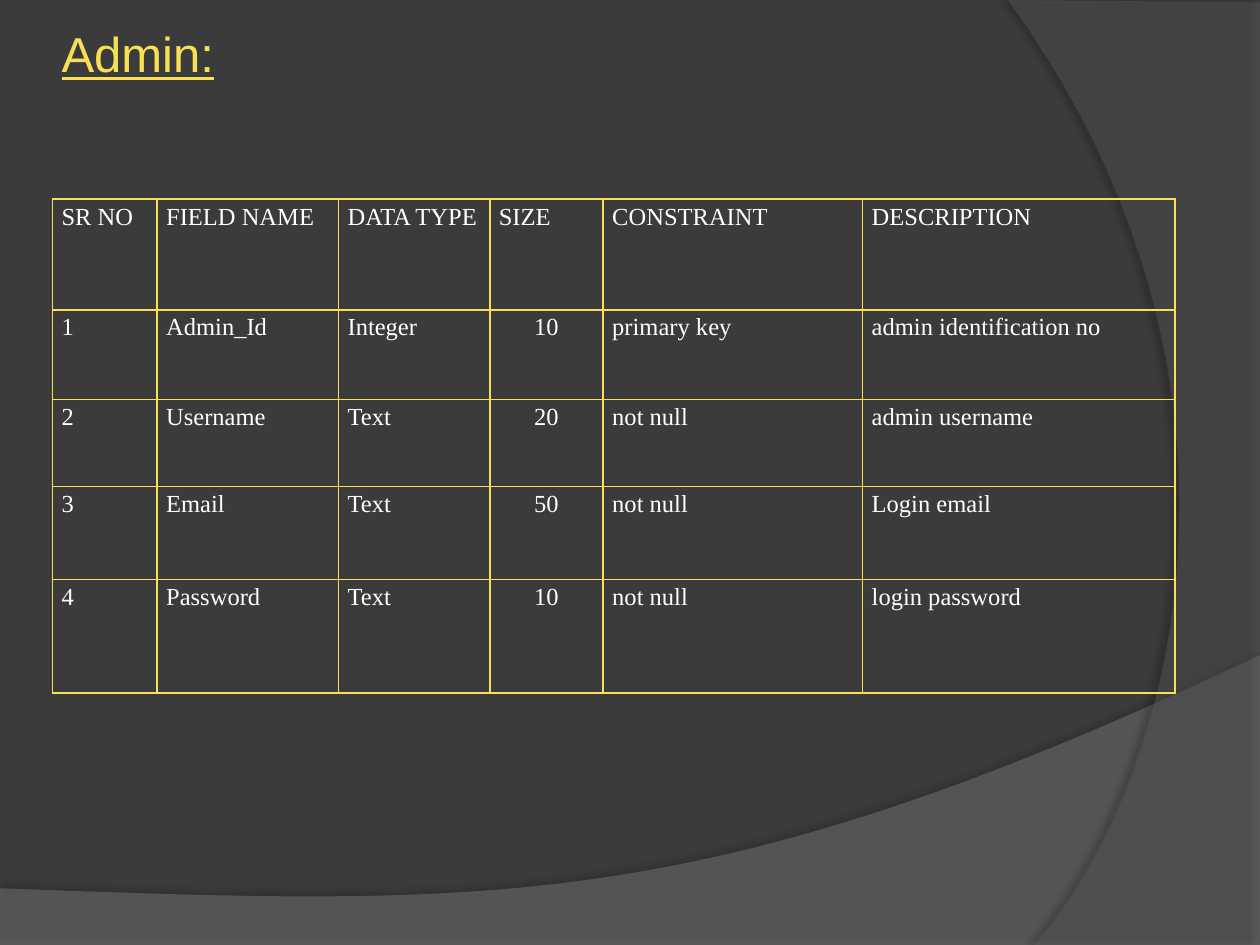
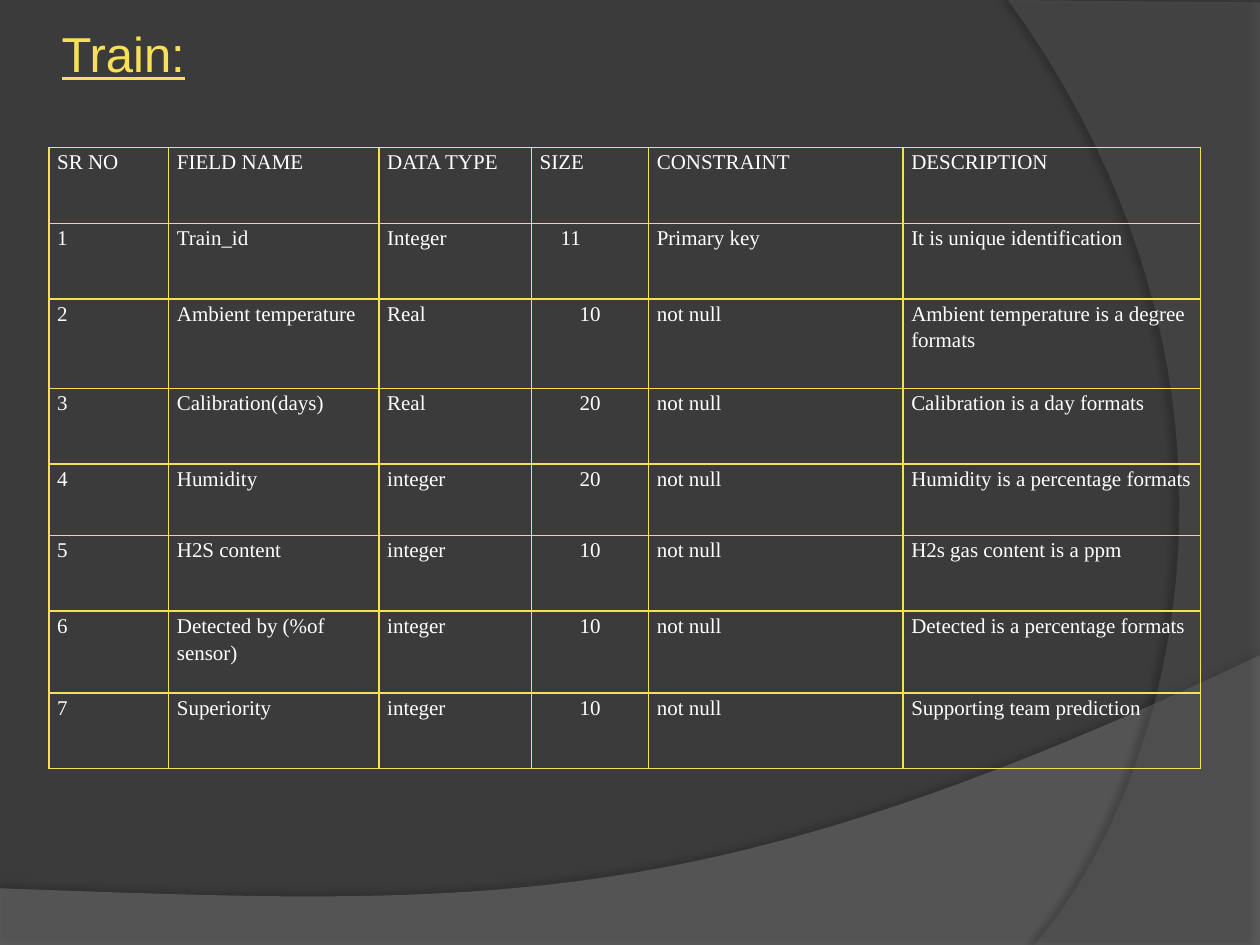
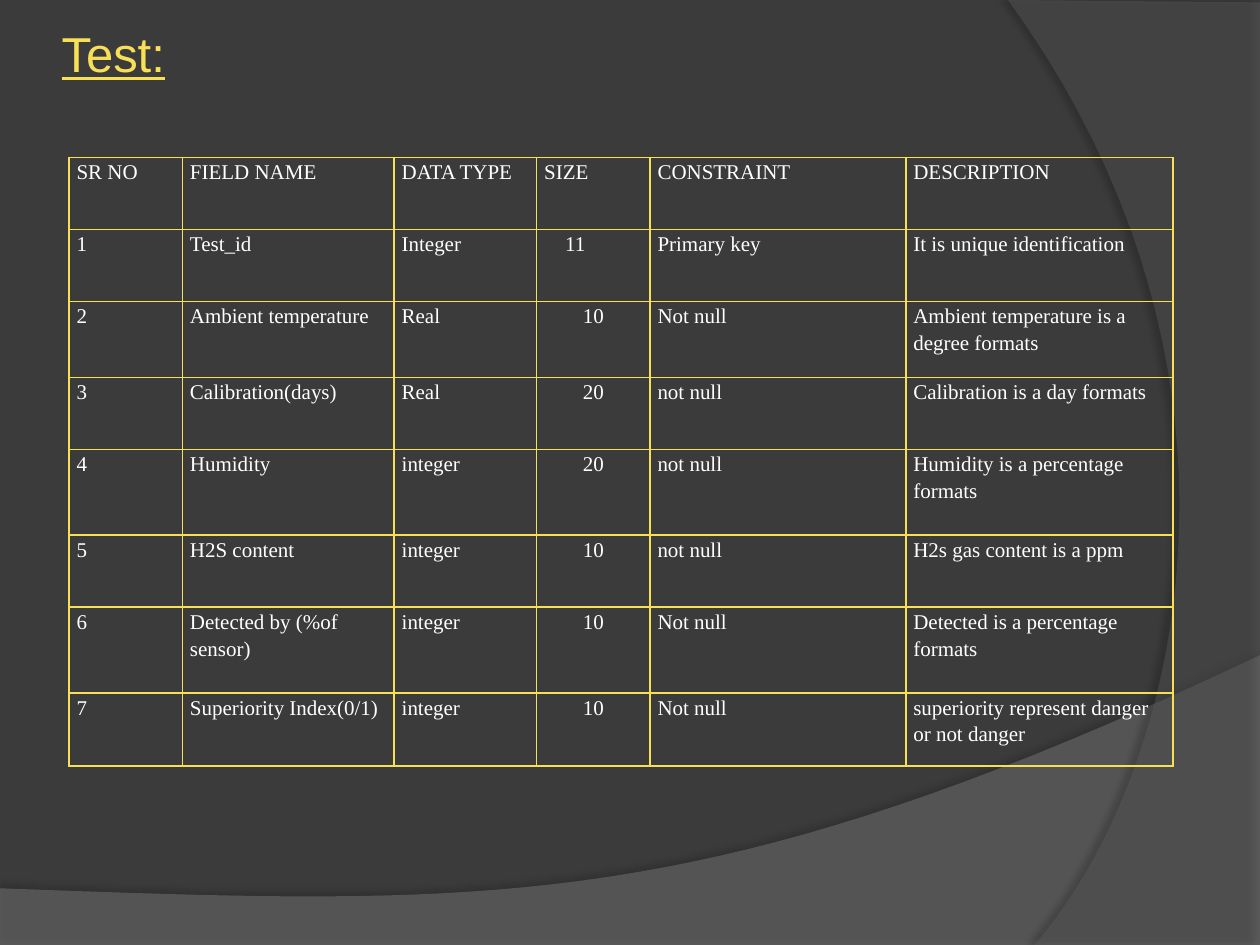
from pptx import Presentation
from pptx.dml.color import RGBColor
from pptx.enum.text import MSO_AUTO_SIZE, PP_ALIGN
from pptx.oxml import parse_xml
from pptx.oxml.ns import nsdecls, qn
from pptx.util import Pt

COLORS = {
    "background": "3B3B3B",
    "lower band": "7F7F7F",
    "right band": "5E5E5E",
    "shadow": "000000",
    "accent": "F7DF56",
    "text": "FFFFFF",
}
HEADINGS = ("SR NO", "FIELD NAME", "DATA TYPE", "SIZE", "CONSTRAINT", "DESCRIPTION")
SIZE_COLUMN = HEADINGS.index("SIZE")
KEY_SIZE = "11"
KEY_INDENT = 12
CURVE_STEPS = 40

BANDS = [
    {
        "color": "lower band", "alpha": 45, "shadow alpha": 35, "distance": 3.5, "direction": 270,
        "corners": [(0, 507.6), (0, 540.7), (720, 540.7)],
        "curve": [(720, 374.4), (402.5, 524.9), (281.5, 517.7), (0, 507.6)],
    },
    {
        "color": "right band", "alpha": 40, "shadow alpha": 45, "distance": 4, "direction": 180,
        "corners": [(720, 1.4), (720, 540)],
        "curve": [(591.1, 540), (673.2, 445.7), (733, 216), (576, 0)],
    },
]

TABLES = [
    {
        "title": "Admin:", "left": 30, "top": 113.8, "font size": 14, "margin": 5.2,
        "widths": (59.8, 103.7, 86.4, 64.8, 148.3, 178.6),
        "heights": (63.4, 51.1, 49.7, 53.3, 64.8),
        "fields": [
            ("Admin_Id", "Integer", "10", "primary key", "admin identification no"),
            ("Username", "Text", "20", "not null", "admin username"),
            ("Email", "Text", "50", "not null", "Login email"),
            ("Password", "Text", "10", "not null", "login password"),
        ],
    },
    {
        "title": "Train:", "left": 28, "top": 84.4, "font size": 12, "margin": 4.7,
        "widths": (68.4, 120.2, 87.1, 67, 145.4, 170),
        "heights": (43.2, 43.2, 51.1, 43.2, 41, 43.2, 46.8, 43.2),
        "fields": [
            ("Train_id", "Integer", "11", "Primary key", "It is unique identification"),
            ("Ambient temperature", "Real", "10", "not null",
             "Ambient temperature is a degree formats"),
            ("Calibration(days)", "Real", "20", "not null", "Calibration is a day formats"),
            ("Humidity", "integer", "20", "not null", "Humidity is a percentage formats"),
            ("H2S content", "integer", "10", "not null", "H2s gas content is a ppm"),
            ("Detected by (%of sensor)", "integer", "10", "not null",
             "Detected is a percentage formats"),
            ("Superiority", "integer", "10", "not null", "Supporting team prediction"),
        ],
    },
    {
        "title": "Test:", "left": 39.5, "top": 90, "font size": 12, "margin": 4.3,
        "widths": (64.8, 121, 81.4, 64.8, 146.2, 152.6),
        "heights": (41.2, 41.2, 43.2, 41.2, 49, 41.2, 49, 41.8),
        "fields": [
            ("Test_id", "Integer", "11", "Primary key", "It is unique identification"),
            ("Ambient temperature", "Real", "10", "Not null",
             "Ambient temperature is a degree formats"),
            ("Calibration(days)", "Real", "20", "not null", "Calibration is a day formats"),
            ("Humidity", "integer", "20", "not null", "Humidity is a percentage formats"),
            ("H2S content", "integer", "10", "not null", "H2s gas content is a ppm"),
            ("Detected by (%of sensor)", "integer", "10", "Not null",
             "Detected is a percentage formats"),
            ("Superiority Index(0/1)", "integer", "10", "Not null",
             "superiority represent danger or not danger"),
        ],
    },
]

TITLE_BOX = {"left": Pt(28), "top": Pt(10), "width": Pt(376.6), "height": Pt(41)}
TITLE_FONT = {"name": "Arial", "size": Pt(28), "bold": False, "underline": True}
CELL_FONT = {"name": "Times New Roman", "bold": False}


def format_font(font, color, values):
    for name, value in values.items():
        setattr(font, name, value)
    font.color.rgb = RGBColor.from_string(COLORS[color])


def curve_point(curve, position):
    rest = 1 - position
    weights = (rest**3, 3 * rest**2 * position, 3 * rest * position**2, position**3)
    return tuple(
        Pt(sum(weight * point[axis] for weight, point in zip(weights, curve))) for axis in (0, 1)
    )


presentation = Presentation()
presentation.slide_width = Pt(720)
presentation.slide_height = Pt(540)
master = presentation.slide_master
master.background.fill.solid()
master.background.fill.fore_color.rgb = RGBColor.from_string(COLORS["background"])
first_placeholder = master.placeholders[0]

slides = [presentation.slides.add_slide(presentation.slide_layouts[5]) for _ in TABLES]

for band in BANDS:
    points = [(Pt(x), Pt(y)) for x, y in band["corners"]]
    points += [curve_point(band["curve"], step / CURVE_STEPS) for step in range(CURVE_STEPS + 1)]
    builder = slides[0].shapes.build_freeform(*points[0])
    builder.add_line_segments(points[1:], close=True)
    shape = builder.convert_to_shape()
    shape.fill.solid()
    shape.fill.fore_color.rgb = RGBColor.from_string(COLORS[band["color"]])
    shape.line.fill.background()
    shape.shadow.inherit = False
    fill_color = shape.element.spPr.find(qn("a:solidFill"))[0]
    fill_color.append(parse_xml(f'<a:alpha {nsdecls("a")} val="{band["alpha"] * 1000}"/>'))
    shape.element.spPr.find(qn("a:effectLst")).append(parse_xml(
        f'<a:outerShdw {nsdecls("a")} blurRad="{Pt(4)}" dist="{Pt(band["distance"])}" '
        f'dir="{band["direction"] * 60000}" algn="ctr" rotWithShape="0">'
        f'<a:srgbClr val="{COLORS["shadow"]}"><a:alpha val="{band["shadow alpha"] * 1000}"/>'
        f'</a:srgbClr></a:outerShdw>'
    ))
    first_placeholder.element.addprevious(shape.element)

for slide, content in zip(slides, TABLES):
    title = slide.shapes.title
    for name, value in TITLE_BOX.items():
        setattr(title, name, value)
    title.text_frame.text = content["title"]
    title.text_frame.auto_size = MSO_AUTO_SIZE.SHAPE_TO_FIT_TEXT
    paragraph = title.text_frame.paragraphs[0]
    paragraph.alignment = PP_ALIGN.JUSTIFY
    format_font(paragraph.runs[0].font, "accent", TITLE_FONT)

    rows = [HEADINGS]
    rows += [(str(number), *field) for number, field in enumerate(content["fields"], 1)]
    table = slide.shapes.add_table(
        len(rows), len(HEADINGS), Pt(content["left"]), Pt(content["top"]),
        Pt(sum(content["widths"])), Pt(sum(content["heights"])),
    ).table
    table.first_row = False
    table.horz_banding = False
    for column, width in zip(table.columns, content["widths"]):
        column.width = Pt(width)

    for row_index, (values, height) in enumerate(zip(rows, content["heights"])):
        table.rows[row_index].height = Pt(height)
        for column_index, value in enumerate(values):
            cell = table.cell(row_index, column_index)
            cell.text = value
            cell.margin_left = cell.margin_right = Pt(content["margin"])
            cell.margin_top = cell.margin_bottom = 0
            paragraph = cell.text_frame.paragraphs[0]
            paragraph.line_spacing = 1.15
            if column_index == SIZE_COLUMN and value == KEY_SIZE:
                cell.margin_left = Pt(content["margin"] + KEY_INDENT)
            elif column_index == SIZE_COLUMN and row_index > 0:
                paragraph.alignment = PP_ALIGN.CENTER
            format_font(
                paragraph.runs[0].font, "text", {**CELL_FONT, "size": Pt(content["font size"])}
            )
            cell_properties = cell._tc.get_or_add_tcPr()
            for side in ("lnL", "lnR", "lnT", "lnB"):
                cell_properties.append(parse_xml(
                    f'<a:{side} {nsdecls("a")} w="{Pt(1)}"><a:solidFill>'
                    f'<a:srgbClr val="{COLORS["accent"]}"/></a:solidFill></a:{side}>'
                ))
            cell.fill.background()

presentation.save("out.pptx")
